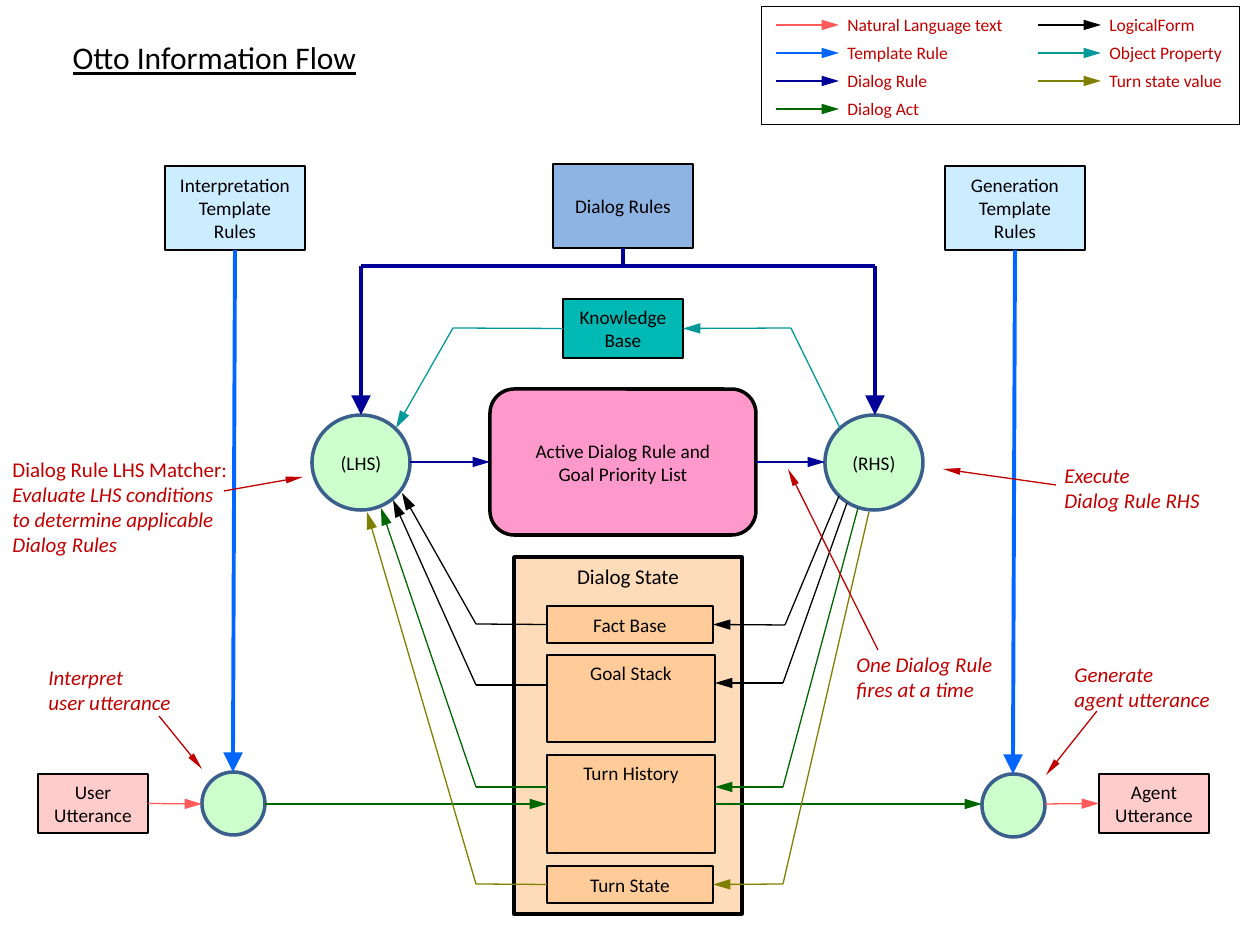
from pptx import Presentation
from pptx.dml.color import RGBColor
from pptx.enum.shapes import MSO_CONNECTOR, MSO_SHAPE
from pptx.enum.text import MSO_ANCHOR, PP_ALIGN
from pptx.oxml.ns import qn
from pptx.util import Pt
from lxml.etree import SubElement

SCALE = 914400 / 126
BLACK, RED, PINK, BLUE = "000000", "C00000", "FF5B5B", "0066FF"
NAVY, GREEN, TEAL, OLIVE = "000099", "006600", "009999", "808000"
MINT, STEEL, SKY, ROSE, PEACH = "CCFFCC", "3A5F8C", "CCECFF", "FFCCCC", "FFCC99"
TOP, LEFT, BOTTOM, RIGHT = range(4)
RECT, OVAL, ROUND = MSO_SHAPE.RECTANGLE, MSO_SHAPE.OVAL, MSO_SHAPE.ROUNDED_RECTANGLE


def px(*sizes):
    return [round(size * SCALE) for size in sizes]


def color(text):
    return RGBColor.from_string(text)


class Chart:
    """Draws styled parts on one slide."""

    font = "Calibri"

    def __init__(self):
        self.deck = Presentation()
        self.deck.slide_width, self.deck.slide_height = px(1260, 945)
        self.slide = self.deck.slides.add_slide(self.deck.slide_layouts[5])
        self.shapes = self.slide.shapes

    def words(self, frame, lines, size, tint=BLACK, align=PP_ALIGN.LEFT, slant=()):
        frame.text = "\n".join(lines)
        for row, part in enumerate(frame.paragraphs):
            part.alignment = align
            part.font.name, part.font.size = self.font, Pt(size)
            part.font.color.rgb = color(tint)
            if row in slant:
                part.font.italic = True

    def title(self, text, box):
        head = self.shapes.title
        head.left, head.top, head.width, head.height = px(*box)
        frame = head.text_frame
        self.words(frame, [text], 18)
        frame.paragraphs[0].font.underline = True
        frame.vertical_anchor = MSO_ANCHOR.TOP
        frame.word_wrap = False

    def box(self, at, fill, lines=(), kind=RECT, edge=BLACK, width=1, size=11,
            anchor=MSO_ANCHOR.MIDDLE):
        shape = self.shapes.add_shape(kind, *px(*at))
        shape.shadow.inherit = False
        if fill:
            shape.fill.solid()
            shape.fill.fore_color.rgb = color(fill)
        else:
            shape.fill.background()
        shape.line.color.rgb = color(edge)
        shape.line.width = Pt(width)
        if lines:
            self.words(shape.text_frame, lines, size, align=PP_ALIGN.CENTER)
            shape.text_frame.vertical_anchor = anchor
        return shape

    def label(self, at, lines, size=12, slant=()):
        frame = self.shapes.add_textbox(*px(*at)).text_frame
        frame.word_wrap = False
        self.words(frame, lines, size, RED, slant=slant)

    def line(self, tint, start, end, width=0.75, head="med"):
        link = self.shapes.add_connector(MSO_CONNECTOR.STRAIGHT, *px(*start, *end))
        link.line.color.rgb = color(tint)
        link.line.width = Pt(width)
        props = link.element.spPr
        if head:
            SubElement(props.find(qn("a:ln")), qn("a:tailEnd"), type="triangle",
                       w=head, len="lg")
        SubElement(props, qn("a:effectLst"))
        return link

    def route(self, tint, points, width=0.75, head="med", start=None, end=None):
        last = len(points) - 2
        links = [self.line(tint, *pair, width, head if step == last else None)
                 for step, pair in enumerate(zip(points, points[1:]))]
        if start:
            links[0].begin_connect(*start)
        if end:
            links[-1].end_connect(*end)

    def save(self):
        self.deck.save("out.pptx")


def main():
    flow = Chart()
    flow.title("Otto Information Flow", (60, 32, 320, 50))

    flow.box((514, 557, 228, 357), "FFDCB9", ["Dialog State"], width=2, size=12,
             anchor=MSO_ANCHOR.TOP)
    user = flow.box((38, 774, 110, 59), ROSE, ["User", "Utterance"])
    agent = flow.box((1099, 774, 110, 59), ROSE, ["Agent", "Utterance"])
    hear = flow.box((165, 166, 140, 84), SKY, ["Interpretation Template Rules"])
    speak = flow.box((945, 166, 140, 84), SKY, ["Generation Template Rules"])
    rules = flow.box((553, 164, 140, 84), "8EB4E3", ["Dialog Rules"])
    base = flow.box((563, 299, 120, 59), "00B8B4", ["Knowledge Base"])
    goals = flow.box((490, 389, 266, 146), "FF99CC",
                     ["Active Dialog Rule and", "Goal Priority List"], ROUND, width=2)
    fact = flow.box((547, 606, 166, 37), PEACH, ["Fact Base"])
    flow.box((547, 655, 168, 87), PEACH, ["Goal Stack"], anchor=MSO_ANCHOR.TOP)
    past = flow.box((547, 755, 168, 98), PEACH, ["Turn History"], anchor=MSO_ANCHOR.TOP)
    turn = flow.box((547, 866, 166, 37), PEACH, ["Turn State"])
    for at, lines in (
        ((312, 415, 98, 95), ["(LHS)"]),
        ((825, 415, 98, 95), ["(RHS)"]),
        ((202, 772, 63, 63), []),
        ((982, 774, 63, 63), []),
    ):
        flow.box(at, MINT, lines, OVAL, STEEL, 2)

    flow.route(PINK, [(148, 804), (202, 804)], start=(user, RIGHT))
    flow.route(PINK, [(1045, 804), (1099, 804)], end=(agent, LEFT))
    flow.route(GREEN, [(265, 804), (547, 804)], end=(past, LEFT))
    flow.route(GREEN, [(715, 804), (982, 804)], start=(past, RIGHT))
    flow.route(BLUE, [(235, 250), (233, 772)], 2.25, "lg", (hear, BOTTOM))
    flow.route(BLUE, [(1015, 250), (1013, 774)], 2.25, "lg", (speak, BOTTOM))

    flow.route(NAVY, [(623, 248), (623, 266)], 2.25, None, (rules, BOTTOM))
    flow.route(NAVY, [(361, 266), (875, 266)], 2.25, None)
    for x in (361, 875):
        flow.route(NAVY, [(x, 266), (x, 415)], 2.25, "lg")
    flow.route(NAVY, [(410, 462), (490, 462)], 1.5, end=(goals, LEFT))
    flow.route(NAVY, [(756, 462), (825, 462)], 1.5, start=(goals, RIGHT))

    flow.route(TEAL, [(563, 328), (453, 328), (396, 428)], start=(base, LEFT))
    flow.route(TEAL, [(840, 428), (791, 328), (683, 328)], end=(base, RIGHT))

    for tint, y, tip, joint in (
        (BLACK, 624, (402, 493), (fact, LEFT)),
        (BLACK, 685, (393, 500), None),
        (GREEN, 787, (381, 508), None),
        (OLIVE, 884, (367, 512), (turn, LEFT)),
    ):
        flow.route(tint, [(547, y), (476, y), tip], start=joint)
    for tint, y, bend, root, joint in (
        (BLACK, 625, 785, (839, 496), (fact, RIGHT)),
        (BLACK, 683, 783, (847, 503), None),
        (GREEN, 787, 783, (858, 508), None),
        (OLIVE, 884, 783, (869, 512), (turn, RIGHT)),
    ):
        flow.route(tint, [root, (bend, y), (715, y)], end=joint)

    both = (0, 1)
    flow.label((0, 450, 248, 115),
               ["Dialog Rule LHS Matcher:", "Evaluate LHS conditions",
                "to determine applicable", "Dialog Rules"], slant=(1, 2, 3))
    flow.label((36, 658, 151, 63), ["Interpret", "user utterance"], slant=both)
    flow.label((1052, 456, 176, 63), ["Execute", "Dialog Rule RHS"], slant=both)
    flow.label((844, 645, 163, 63), ["One Dialog Rule", "fires at a time"], slant=both)
    flow.label((1062, 655, 176, 63), ["Generate", "agent utterance"], slant=both)
    for start, end in (
        ((224, 491), (303, 477)),
        ((159, 716), (202, 769)),
        ((1097, 711), (1046, 775)),
        ((878, 650), (788, 469)),
        ((1056, 485), (943, 469)),
    ):
        flow.line(RED, start, end, head="sm")

    flow.box((761, 6, 478, 118), None, width=0.25)
    for x, wide, keys in (
        (776, 200, ((PINK, "Natural Language text"), (BLUE, "Template Rule"),
                    (NAVY, "Dialog Rule"), (GREEN, "Dialog Act"))),
        (1038, 142, ((BLACK, "LogicalForm"), (TEAL, "Object Property"),
                     (OLIVE, "Turn state value"))),
    ):
        for row, (tint, name) in enumerate(keys):
            y = 25 + 28 * row
            flow.line(tint, (x, y), (x + 63, y))
            flow.label((x + 59, y - 17, wide, 34), [name], 10)
    flow.save()


if __name__ == "__main__":
    main()
